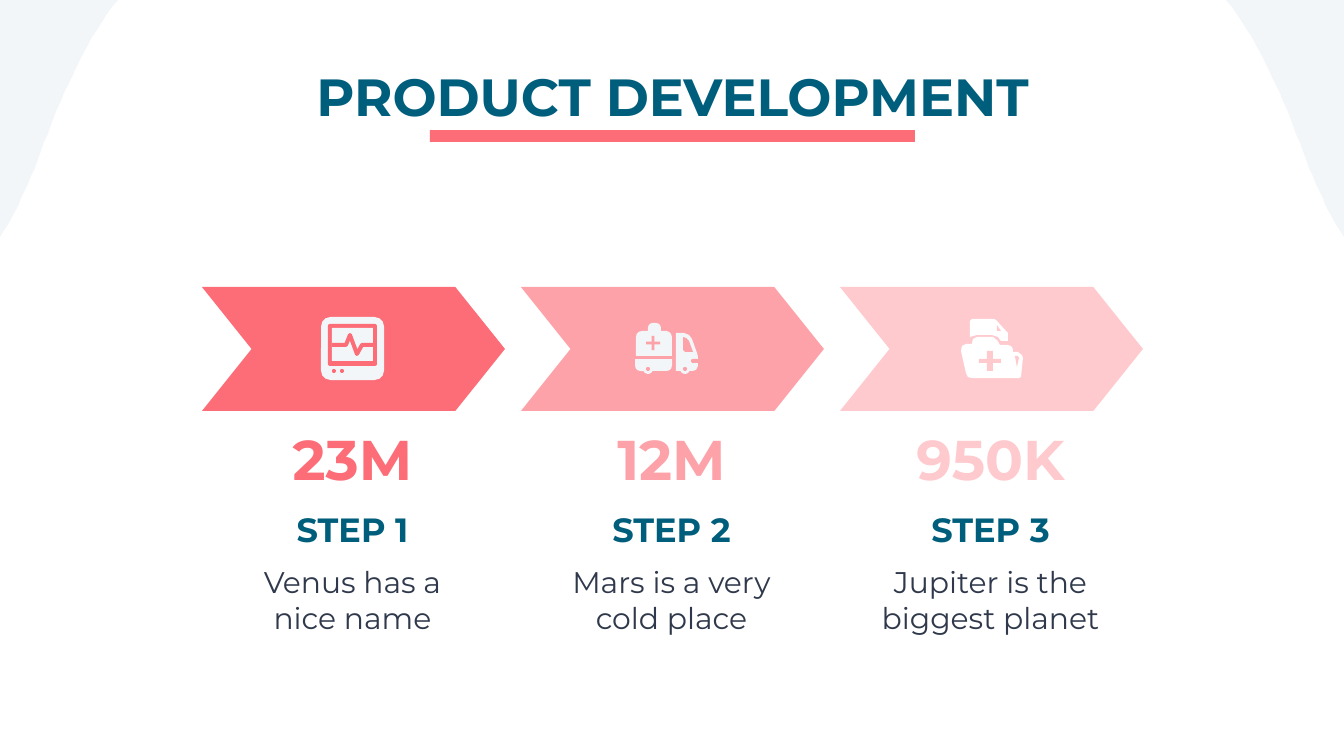
"""Build a three-step product development slide with chevrons and icons."""
import pptx
import pptx.dml.color
import pptx.enum.shapes
import pptx.enum.text
import pptx.util

KIND = pptx.enum.shapes.MSO_SHAPE
ALIGN = pptx.enum.text.PP_ALIGN
ANCHOR = pptx.enum.text.MSO_ANCHOR
SCALE = 9144000 / 1344

THEME = {
    "font": "Montserrat", "navy": "005E7D", "ink": "30394B",
    "coral": "FC6D78", "rose": "FDA2A9", "blush": "FECACE",
    "mist": "F2F6F8", "white": "FFFFFF",
    "title": 28, "figure": 30, "step": 18, "note": 16,
}
TITLE = "PRODUCT DEVELOPMENT"
STEPS = [
    ("23M", "STEP 1", "Venus has a nice name", "coral", "mist", "monitor"),
    ("12M", "STEP 2", "Mars is a very cold place", "rose", "mist", "van"),
    ("950K", "STEP 3", "Jupiter is the biggest planet", "blush", "white", "folder"),
]
FORMS = {
    "box": (KIND.RECTANGLE, []),
    "dot": (KIND.OVAL, []),
    "case": (KIND.ROUNDED_RECTANGLE, [0.15]),
    "screen": (KIND.ROUNDED_RECTANGLE, [0.05]),
    "slot": (KIND.ROUNDED_RECTANGLE, [0.5]),
    "top": (KIND.ROUND_2_SAME_RECTANGLE, [0.24, 0]),
    "lamp": (KIND.ROUND_2_SAME_RECTANGLE, [0.4, 0]),
    "base": (KIND.ROUND_2_SAME_RECTANGLE, [0, 0.45]),
    "plus": (KIND.CROSS, [0.4]),
    "arrow": (KIND.CHEVRON, [0.4]),
}
ICONS = {
    "monitor": [
        ("case", (119, 30, 63, 63), "light"),
        ("screen", (126, 37, 49, 42), "tone"),
        ("box", (130, 41, 41, 33), "light"),
        ("wave", [(130, 58), (144, 58), (148, 48), (155, 67), (160, 58), (171, 58)], "tone"),
        ("dot", (130, 82, 4, 4), "tone"),
        ("dot", (138, 82, 4, 4), "tone"),
    ],
    "van": [
        ("top", (115, 44, 36, 25), "light"),
        ("lamp", (127, 36, 13, 12), "light"),
        ("plus", (125, 49, 14, 14), "tone"),
        ("base", (114, 72, 37, 12), "light"),
        ("poly", [(155, 46), (163, 46), (168, 48), (171, 52), (176, 66), (177, 70),
                  (177, 79), (175, 83), (172, 84), (155, 84)], "light"),
        ("poly", [(162, 50), (165, 51), (168, 54), (172, 65), (164, 65), (162, 63)], "tone"),
        ("slot", (170, 72, 8, 4), "tone"),
        ("dot", (122, 77, 10, 10), "light"),
        ("dot", (125, 80, 4, 4), "tone"),
        ("dot", (159, 77, 10, 10), "light"),
        ("dot", (162, 80, 4, 4), "tone"),
    ],
    "folder": [
        ("poly", [(130, 34), (130, 50), (137, 48), (152, 48), (158, 50), (161, 54),
                  (168, 54), (168, 46), (156, 33), (154, 32), (132, 32)], "light"),
        ("poly", [(157, 38), (161, 44), (157, 44)], "tone"),
        ("poly", [(137, 50), (133, 52), (132, 57), (126, 57), (122, 59), (121, 64),
                  (126, 86), (128, 90), (132, 91), (179, 91), (181, 90), (183, 71),
                  (182, 68), (178, 65), (173, 65), (173, 62), (171, 59), (168, 58),
                  (160, 58), (157, 53), (153, 50)], "light"),
        ("poly", [(175, 69), (178, 69), (179, 71), (177, 80)], "tone"),
        ("plus", (139, 64, 22, 20), "tone"),
    ],
}
CURVE = [(0, 237), (9, 223), (17, 208), (24, 192), (34, 171), (42, 148), (51, 125),
         (59, 103), (69, 82), (79, 62), (90, 39), (103, 19), (118, 0)]
LEFT, TOP, PITCH, WIDE, TALL = 202, 287, 319, 303, 124
ROWS = [
    (431, 55, "figure", None, True, ANCHOR.MIDDLE, 0),
    (496, 55, "step", "navy", True, ANCHOR.TOP, 16),
    (551, 81, "note", "ink", False, ANCHOR.TOP, 16),
]


def px(num):
    return pptx.util.Emu(round(num * SCALE))


def tint(name):
    return pptx.dml.color.RGBColor.from_string(THEME[name])


def apply(item, vals):
    for key, val in vals.items():
        setattr(item, key, val)


def paint(shape, name):
    shape.shadow.inherit = False
    shape.fill.solid()
    shape.fill.fore_color.rgb = tint(name)
    shape.line.fill.background()


def form(shapes, kind, area, name, left=0, top=0):
    x, y, wide, tall = area
    preset, bends = FORMS[kind]
    shape = shapes.add_shape(preset, px(left + x), px(top + y), px(wide), px(tall))
    for i, bend in enumerate(bends):
        shape.adjustments[i] = bend
    paint(shape, name)


def trace(shapes, points, name, left=0, top=0, wave=False):
    pen = shapes.build_freeform(*points[0], scale=SCALE)
    pen.add_line_segments(points[1:], close=not wave)
    shape = pen.convert_to_shape(px(left), px(top))
    paint(shape, name)
    if wave:
        shape.fill.background()
        shape.line.color.rgb = tint(name)
        shape.line.width = px(4)


def smooth(knots, steps=8):
    points = [knots[0]]
    for i in range(0, len(knots) - 1, 3):
        a, b, c, d = knots[i:i + 4]
        for n in range(1, steps + 1):
            t = n / steps
            mix = ((1 - t) ** 3, 3 * t * (1 - t) ** 2, 3 * t * t * (1 - t), t ** 3)
            points.append(tuple(round(sum(m * p[k] for m, p in zip(mix, (a, b, c, d))))
                                for k in (0, 1)))
    return points


def write(shape, text, size, color, bold, anchor, after=0):
    frame = shape.text_frame
    apply(frame, {"word_wrap": True, "vertical_anchor": anchor,
                  "auto_size": pptx.enum.text.MSO_AUTO_SIZE.NONE})
    apply(frame, {"margin_" + side: px(13) for side in ("left", "right", "top", "bottom")})
    frame.text = text
    para = frame.paragraphs[0]
    apply(para, {"alignment": ALIGN.CENTER, "space_after": pptx.util.Pt(after)})
    font = para.runs[0].font
    apply(font, {"name": THEME["font"], "size": pptx.util.Pt(THEME[size]), "bold": bold})
    font.color.rgb = tint(color)


def main():
    deck = pptx.Presentation()
    apply(deck, {"slide_width": px(1344), "slide_height": px(756)})
    slide = deck.slides.add_slide(deck.slide_layouts[5])
    shapes = slide.shapes

    edge = smooth(CURVE) + [(0, 0)]
    trace(shapes, edge, "mist")
    trace(shapes, [(1344 - x, y) for x, y in edge], "mist")
    form(shapes, "box", (430, 130, 485, 12), "coral")

    apply(shapes.title, {"left": px(106), "top": px(51), "width": px(1133), "height": px(85)})
    write(shapes.title, TITLE, "title", "navy", True, ANCHOR.TOP)

    for i, (*texts, tone, light, icon) in enumerate(STEPS):
        left = LEFT + i * PITCH
        group = shapes.add_group_shape().shapes
        form(group, "arrow", (0, 0, WIDE, TALL), tone, left, TOP)
        for kind, area, role in ICONS[icon]:
            name = tone if role == "tone" else light
            if kind in FORMS:
                form(group, kind, area, name, left, TOP)
            else:
                trace(group, area, name, left, TOP, kind == "wave")
        for text, (top, tall, size, color, bold, anchor, after) in zip(texts, ROWS):
            box = shapes.add_textbox(px(left + 22), px(top), px(257), px(tall))
            write(box, text, size, color or tone, bold, anchor, after)

    deck.save("out.pptx")


if __name__ == "__main__":
    main()
